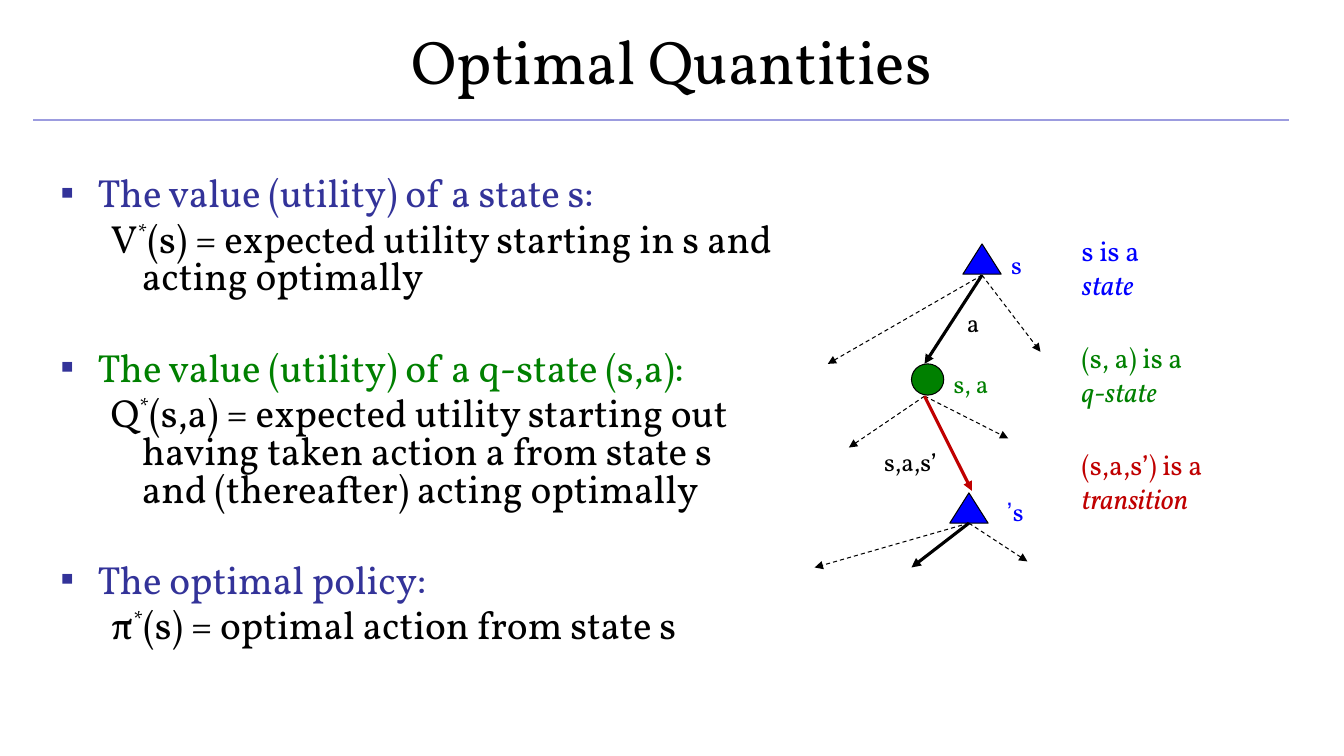
"""Build the Optimal Quantities slide with its search tree."""
from lxml import etree
from pptx import Presentation, util as u
from pptx.dml.color import RGBColor
from pptx.enum import dml, shapes, text
from pptx.oxml import ns

FONT = "Vollkorn"
BLACK, BLUE, GREEN, RED, INDIGO = "000000", "0000FF", "008000", "C00000", "333399"

TITLE = ("Optimal Quantities", (0, -0.03, 13.33, 1.25))
QUANTITIES_BOX = (0.5, 1.25, 7.33, 5.42)
QUANTITIES = [
    ("The value (utility) of a state s:", INDIGO,
     "V", "(s) = expected utility starting in s and acting optimally"),
    ("The value (utility) of a q-state (s,a):", GREEN,
     "Q", "(s,a) = expected utility starting out having taken action a "
     "from state s and (thereafter) acting optimally"),
    ("The optimal policy:", INDIGO, "π", "(s) = optimal action from state s"),
]
NODES = [
    ("ISOSCELES_TRIANGLE", BLUE, (9.55, 2.42, 0.38, 0.3)),
    ("ISOSCELES_TRIANGLE", BLUE, (9.42, 4.89, 0.38, 0.3)),
    ("OVAL", GREEN, (9.04, 3.61, 0.32, 0.31)),
]
BRANCHES = [
    ((9.74, 2.73), [((8.21, 3.61), None), ((9.17, 3.61), BLACK), ((10.32, 3.49), None)]),
    ((9.17, 3.93), [((8.42, 4.44), None), ((10, 4.35), None), ((9.64, 4.87), RED)]),
    ((9.61, 5.19), [((8.08, 5.63), None), ((9.04, 5.63), BLACK), ((10.19, 5.57), None)]),
]
LABELS = [
    ("a", BLACK, (9.49, 3, 0.32, 0.4), False),
    ("s", BLUE, (9.93, 2.42, 0.32, 0.4), False),
    ("s’", BLUE, (9.83, 4.87, 0.42, 0.4), True),
    ("s, a", GREEN, (9.36, 3.61, 0.64, 0.4), False),
    ("s,a,s’", BLACK, (8.67, 4.38, 0.9, 0.4), False),
]
LEGEND = [
    ("s is a", "state", BLUE, (10.63, 2.27, 1.15, 0.77)),
    ("(s, a) is a", "q-state", GREEN, (10.63, 3.33, 1.42, 0.77)),
    ("(s,a,s’) is a", "transition", RED, (10.63, 4.39, 2.37, 0.77)),
]


def rgb(code):
    return RGBColor.from_string(code)


def inches(values):
    return [u.Inches(value) for value in values]


def apply(target, formats):
    for name, value in formats.items():
        setattr(target, name, value)


def add_xml(parent, tag, **attributes):
    return etree.SubElement(parent, ns.qn(tag), attributes)


def add_frame(slide, box, **formats):
    frame = slide.shapes.add_textbox(*inches(box)).text_frame
    apply(frame, {"word_wrap": True, **formats})
    return frame


def add_run(paragraph, words, size, color, **formats):
    run = paragraph.add_run()
    run.text = words
    apply(run.font, {"name": FONT, "size": u.Pt(size), **formats})
    run.font.color.rgb = rgb(color)
    return run


def add_line(slide, start, end, color, width, dashed=False, arrow=True):
    line = slide.shapes.add_connector(shapes.MSO_CONNECTOR.STRAIGHT, *inches(start + end))
    line.line.color.rgb = rgb(color)
    line.line.width = u.Pt(width)
    if dashed:
        line.line.dash_style = dml.MSO_LINE.DASH
    if arrow:
        add_xml(line.line._get_or_add_ln(), "a:tailEnd", type="triangle")
    add_xml(line._element.spPr, "a:effectLst")


def add_quantities(slide):
    frame = add_frame(slide, QUANTITIES_BOX, margin_top=u.Inches(0.51))
    for index, (heading, color, symbol, meaning) in enumerate(QUANTITIES):
        top = frame.add_paragraph() if index else frame.paragraphs[0]
        detail = frame.add_paragraph()
        for paragraph, before, left, hang in ((top, 38.3 if index else 0, 0.37, -0.37),
                                              (detail, 5.7, 0.81, -0.31)):
            apply(paragraph, {"line_spacing": 0.8, "space_before": u.Pt(before)})
            layout = paragraph._p.get_or_add_pPr()
            layout.set("marL", str(u.Inches(left)))
            layout.set("indent", str(u.Inches(hang)))
        bullet = top._p.get_or_add_pPr()
        add_xml(add_xml(bullet, "a:buClr"), "a:srgbClr", val=INDIGO)
        add_xml(bullet, "a:buFont", typeface="Arial")
        add_xml(bullet, "a:buChar", char="▪")
        add_run(top, heading, 28, color)
        detail.level = 1
        add_run(detail, symbol, 28, BLACK)
        star = add_run(detail, "*", 28, BLACK)
        star.font._element.set("baseline", "30000")
        add_run(detail, meaning, 28, BLACK)


def add_tree(slide):
    for kind, color, box in NODES:
        node = slide.shapes.add_shape(getattr(shapes.MSO_SHAPE, kind), *inches(box))
        node.shadow.inherit = False
        node.fill.solid()
        node.fill.fore_color.rgb = rgb(color)
        node.line.color.rgb = rgb(BLACK)
        node.line.width = u.Pt(0.75)
    for start, ends in BRANCHES:
        for end, chosen in ends:
            add_line(slide, start, end, chosen or BLACK, 2.25 if chosen else 0.75, not chosen)
    for words, color, box, right_to_left in LABELS:
        label = add_frame(slide, box).paragraphs[0]
        if right_to_left:
            label.alignment = text.PP_ALIGN.RIGHT
            label._p.get_or_add_pPr().set("rtl", "1")
        add_run(label, words, 18, color)
    for notation, term, color, box in LEGEND:
        entry = add_frame(slide, box).paragraphs[0]
        add_run(entry, notation, 20, color)
        entry.add_line_break()
        add_run(entry, term, 20, color, italic=True)


def main():
    deck = Presentation()
    apply(deck, {"slide_width": u.Inches(13.33), "slide_height": u.Inches(7.5)})
    slide = deck.slides.add_slide(deck.slide_layouts[6])
    add_line(slide, (0.33, 1.19), (12.78, 1.19), "9C9CDF", 1, arrow=False)
    words, box = TITLE
    title = add_frame(slide, box, vertical_anchor=text.MSO_ANCHOR.MIDDLE).paragraphs[0]
    title.alignment = text.PP_ALIGN.CENTER
    add_run(title, words, 44, BLACK)
    add_quantities(slide)
    add_tree(slide)
    deck.save("out.pptx")


if __name__ == "__main__":
    main()
